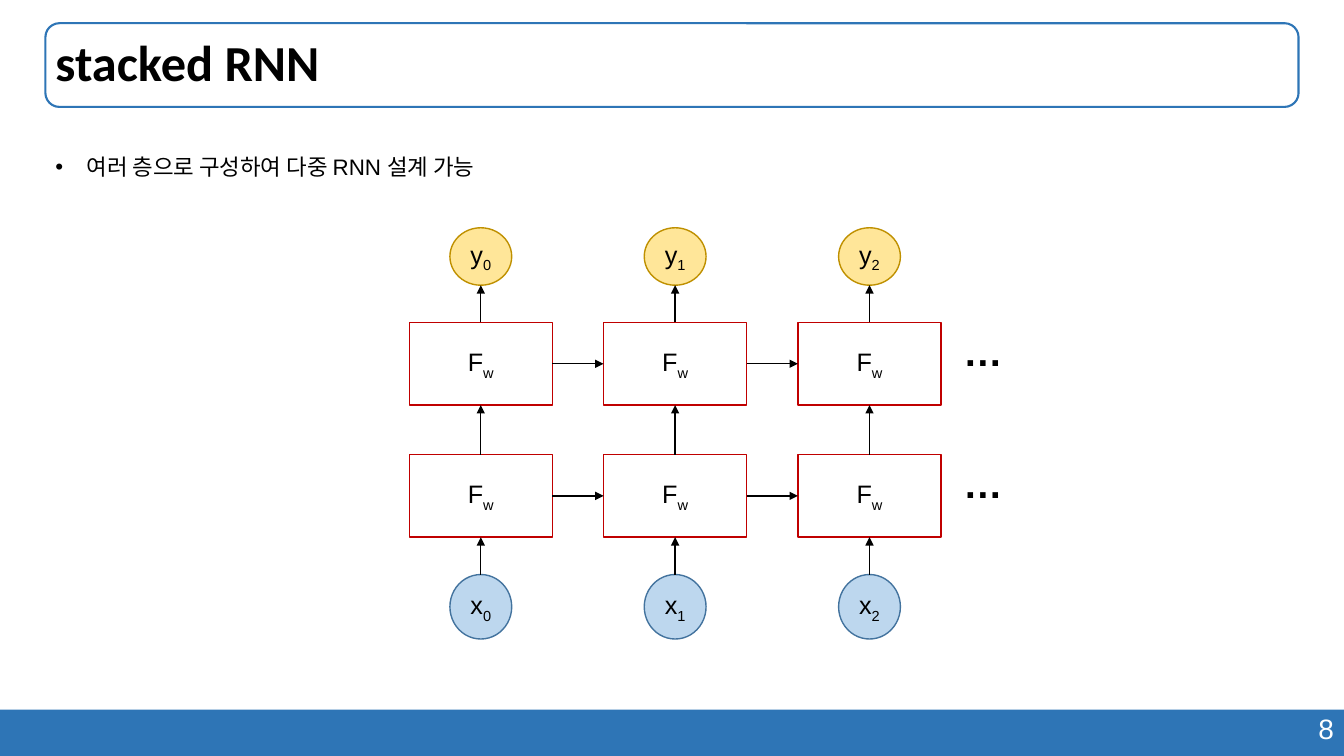
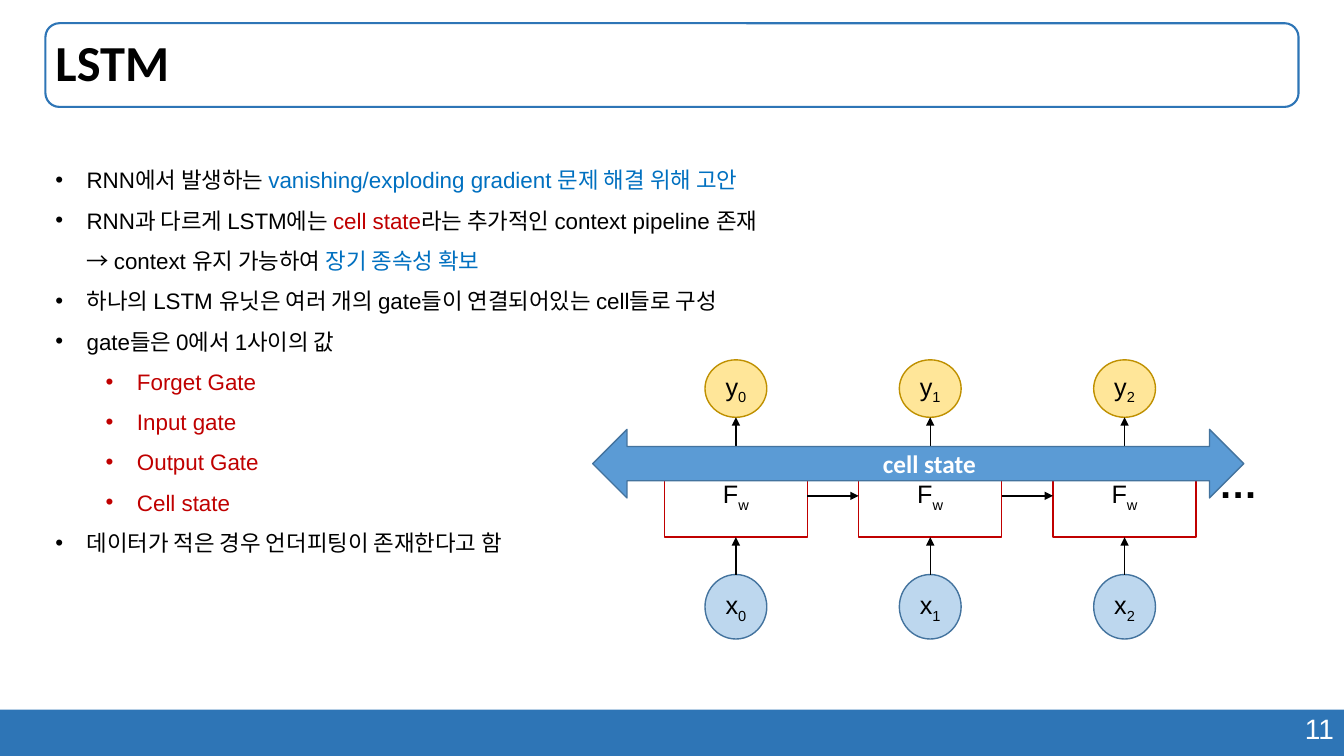
"""Build two slides on stacked RNN and LSTM networks."""

from dataclasses import dataclass
from typing import NamedTuple

from lxml.etree import SubElement as Sub
from pptx import Presentation
from pptx.dml.color import RGBColor as Rgb
from pptx.enum.shapes import MSO_CONNECTOR as Wire
from pptx.enum.shapes import MSO_SHAPE as Kind
from pptx.enum.text import MSO_ANCHOR as Anchor
from pptx.enum.text import MSO_AUTO_SIZE as Fit
from pptx.enum.text import PP_ALIGN as Align
from pptx.oxml.ns import qn
from pptx.shapes.autoshape import Shape
from pptx.shapes.connector import Connector
from pptx.slide import Slide
from pptx.util import Inches, Pt

WIDE, HIGH = Inches(13.33), Inches(7.5)
TOP, LEFT, BASE, RIGHT = range(4)


@dataclass(frozen=True)
class Theme:
    """Colours, fonts and type sizes of the deck."""

    band: str = "2E75B6"
    white: str = "FFFFFF"
    black: str = "000000"
    red: str = "C00000"
    blue: str = "0070C0"
    sky: str = "BDD7EE"
    edge: str = "43739E"
    sand: str = "FFE699"
    gold: str = "BF9000"
    arrow: str = "5B9BD5"
    sans: str = "Arial"
    head: str = "Calibri"
    title: float = 36
    dots: float = 28
    page: float = 20
    node: float = 18
    body: float = 16


THEME = Theme()


class Box(NamedTuple):
    """Left, top, width and height in percent of the slide."""

    x: float
    y: float
    w: float
    h: float

    def size(self) -> tuple[int, int, int, int]:
        """Return the box in slide units."""
        return (int(WIDE * self.x / 100), int(HIGH * self.y / 100),
                int(WIDE * self.w / 100), int(HIGH * self.h / 100))


class Run(NamedTuple):
    """A stretch of text in one colour."""

    text: str
    color: str = THEME.black
    sub: bool = False


class Para(NamedTuple):
    """Runs of one paragraph and its bullet level."""

    runs: list[Run]
    level: int = 0


class Look(NamedTuple):
    """Preset, fill and line of a shape."""

    kind: Kind
    fill: str | None
    line: str | None
    width: float = 1


class Net(NamedTuple):
    """A network's left edge and its count of layers."""

    left: float
    layers: int


CELL = Look(Kind.RECTANGLE, THEME.white, THEME.red)
INPUT = Look(Kind.OVAL, THEME.sky, THEME.edge)
OUTPUT = Look(Kind.OVAL, THEME.sand, THEME.gold)
BAND = Look(Kind.RECTANGLE, THEME.band, None)
FRAME = Look(Kind.ROUNDED_RECTANGLE, None, THEME.band, 1.5)
STATE = Look(Kind.LEFT_RIGHT_ARROW, THEME.arrow, THEME.edge)

HEAD = Box(3.38, 3.07, 93.24, 11.07)
FOOT = Box(0, 93.87, 100, 6.13)
PAGE = Box(70.73, 93.47, 29.27, 5.87)
COLS, STEP, RISE = 3, 14.46, 17.47
UNIT = Box(0, 60.13, 10.65, 10.93)
BALL, IN_TOP, IN_HIGH, OUT_HIGH, OUT_GAP = 4.6, 76, 8.53, 7.6, 4.93


def write(shape: Shape, paras: list[Para], *, size: float, font: str = THEME.sans,
          bold: bool = False, align: Align = Align.LEFT, anchor: Anchor = Anchor.TOP,
          space: float = 1.0, bullet: bool = False, wrap: bool = True) -> None:
    """Fill a shape with formatted paragraphs."""
    frame = shape.text_frame
    frame.auto_size, frame.word_wrap = Fit.NONE, wrap
    frame.vertical_anchor = anchor
    for num, para in enumerate(paras):
        line = frame.add_paragraph() if num else frame.paragraphs[0]
        line.alignment, line.line_spacing = align, space
        line.level = para.level
        if bullet:
            mark(line, para.level)
        for part in para.runs:
            for row, text in enumerate(part.text.split("\n")):
                if row:
                    line.add_line_break()
                run = line.add_run()
                run.text = text
                run.font.name, run.font.size = font, Pt(size)
                run.font.bold = bold
                run.font.color.rgb = Rgb.from_string(part.color)
                if part.sub:
                    run._r.get_or_add_rPr().set("baseline", "-25000")


def mark(line, level: int) -> None:
    """Give a paragraph a hanging bullet."""
    props = line._p.get_or_add_pPr()
    props.set("marL", str(Inches(0.31 + 0.5 * level)))
    props.set("indent", str(-Inches(0.31)))
    Sub(props, qn("a:buFont")).set("typeface", THEME.sans)
    Sub(props, qn("a:buChar")).set("char", "•")


def draw(slide: Slide, box: Box, look: Look) -> Shape:
    """Add a preset shape in a given look."""
    shape = slide.shapes.add_shape(look.kind, *box.size())
    shape.shadow.inherit = False
    if look.fill:
        shape.fill.solid()
        shape.fill.fore_color.rgb = Rgb.from_string(look.fill)
    else:
        shape.fill.background()
    if look.line:
        shape.line.color.rgb = Rgb.from_string(look.line)
        shape.line.width = Pt(look.width)
    else:
        shape.line.fill.background()
    return shape


def label(slide: Slide, box: Box, text: str, color: str = THEME.black, **form) -> None:
    """Add a text box of one line."""
    write(slide.shapes.add_textbox(*box.size()), [Para([Run(text, color)])], **form)


def node(slide: Slide, box: Box, look: Look, name: str, index: str) -> Shape:
    """Add a network node with a name and a subscript."""
    shape = draw(slide, box, look)
    write(shape, [Para([Run(name), Run(index, sub=True)])], size=THEME.node,
          align=Align.CENTER, anchor=Anchor.MIDDLE, wrap=False)
    return shape


def link(slide: Slide, tail: Shape, out: int, tip: Shape, into: int | None = None) -> Connector:
    """Point an arrow from a side to a side, or to a ball's foot."""
    foot = tip.left + tip.width // 2, tip.top + tip.height
    wire = slide.shapes.add_connector(Wire.STRAIGHT, *foot, *foot)
    wire.begin_connect(tail, out)
    if into is not None:
        wire.end_connect(tip, into)
    wire.line.color.rgb = Rgb.from_string(THEME.black)
    wire.line.width = Pt(1)
    props = wire._element.spPr
    Sub(props.find(qn("a:ln")), qn("a:tailEnd")).set("type", "triangle")
    Sub(props, qn("a:effectLst"))
    return wire


def weave(slide: Slide, net: Net) -> None:
    """Draw the inputs, layers and outputs of a network."""
    tops = [UNIT.y - RISE * row for row in range(net.layers)]
    past: list[Shape] = []
    for col in range(COLS):
        left = net.left + STEP * col
        mid = left + (UNIT.w - BALL) / 2
        cells = [node(slide, UNIT._replace(x=left, y=top), CELL, "F", "w") for top in tops]
        source = node(slide, Box(mid, IN_TOP, BALL, IN_HIGH), INPUT, "x", str(col))
        high = tops[-1] - OUT_GAP - OUT_HIGH
        result = node(slide, Box(mid, high, BALL, OUT_HIGH), OUTPUT, "y", str(col))
        for low, cell in zip([source, *cells], cells):
            link(slide, low, TOP, cell, BASE)
        link(slide, cells[-1], TOP, result)
        for prior, cell in zip(past, cells):
            link(slide, prior, RIGHT, cell, LEFT)
        past = cells
    for top in tops:
        label(slide, Box(net.left + 40.5, top, 4.35, 7.6), "…", size=THEME.dots, bold=True)


def start(deck, title: str, page: int) -> Slide:
    """Add a slide with its title, frame and footer band."""
    slide = deck.slides.add_slide(deck.slide_layouts[5])
    draw(slide, FOOT, BAND)
    label(slide, PAGE, str(page), THEME.white, size=THEME.page, align=Align.RIGHT)
    draw(slide, HEAD, FRAME)
    head = slide.shapes.title
    head.left, head.top, head.width, head.height = HEAD.size()
    write(head, [Para([Run(title)])], size=THEME.title, font=THEME.head,
          bold=True, anchor=Anchor.MIDDLE, space=0.9)
    return slide


def points(slide: Slide, box: Box, paras: list[Para], space: float) -> None:
    """Add the bulleted body text."""
    write(slide.shapes.add_textbox(*box.size()), paras, size=THEME.body,
          space=space, bullet=True)


def stacked(deck) -> None:
    """Build the stacked RNN slide."""
    slide = start(deck, "stacked RNN", 8)
    weave(slide, Net(30.45, 2))
    points(slide, Box(HEAD.x, 19.6, 41.78, 4.93),
           [Para([Run("여러 층으로 구성하여 다중 RNN 설계 가능")])], 1.0)


def gated(deck) -> None:
    """Build the LSTM slide."""
    slide = start(deck, "LSTM", 11)
    gates = ["Forget Gate", "Input gate", "Output Gate", "Cell state"]
    points(slide, Box(HEAD.x, 19.6, HEAD.w, 54.8), [
        Para([Run("RNN에서 발생하는 "),
              Run("vanishing/exploding gradient 문제 해결 위해 고안", THEME.blue)]),
        Para([Run("RNN과 다르게 LSTM에는 "), Run("cell state", THEME.red),
              Run("라는 추가적인 context pipeline 존재 \n→ context 유지 가능하여 "),
              Run("장기 종속성 확보", THEME.blue)]),
        Para([Run("하나의 LSTM 유닛은 여러 개의 gate들이 연결되어있는 cell들로 구성")]),
        Para([Run("gate들은 0에서 1사이의 값")]),
        *[Para([Run(gate, THEME.red)], 1) for gate in gates],
        Para([Run("데이터가 적은 경우 언더피팅이 존재한다고 함")]),
    ], 1.5)
    weave(slide, Net(49.43, 1))
    draw(slide, Box(44.1, 56.8, 48.45, 9.07), STATE)
    label(slide, Box(62.55, 58.67, 13.2, 5.33), "cell state", THEME.white,
          size=THEME.node, font=THEME.head, bold=True, align=Align.CENTER)


def main() -> None:
    """Build and save the deck."""
    deck = Presentation()
    deck.slide_width, deck.slide_height = WIDE, HIGH
    stacked(deck)
    gated(deck)
    deck.save("out.pptx")


if __name__ == "__main__":
    main()
